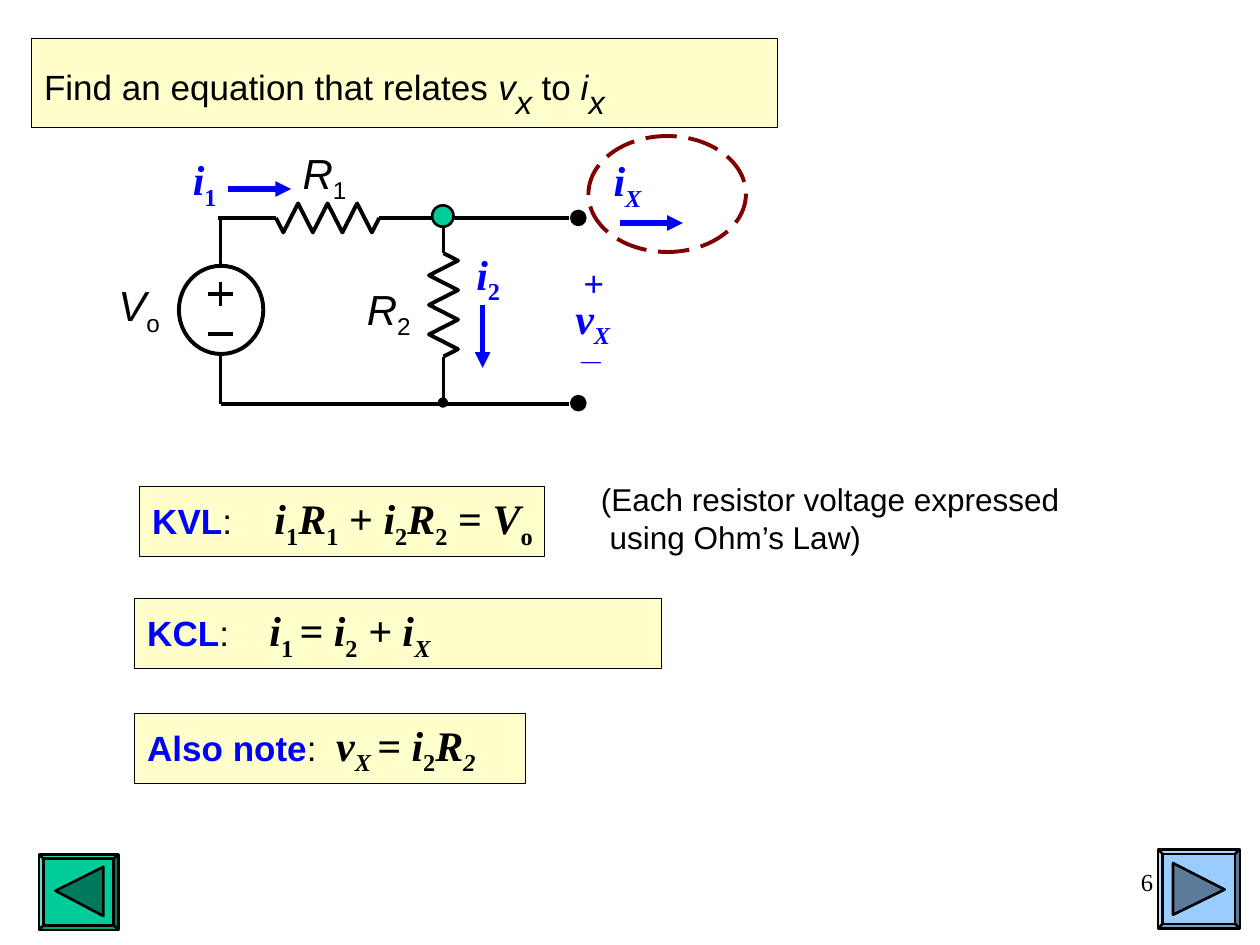
from dataclasses import dataclass

from lxml.etree import SubElement
from pptx import Presentation
from pptx.dml.color import RGBColor
from pptx.enum.dml import MSO_LINE
from pptx.enum.shapes import MSO_CONNECTOR, MSO_SHAPE
from pptx.enum.text import MSO_ANCHOR, MSO_AUTO_SIZE, PP_ALIGN
from pptx.oxml.ns import qn
from pptx.util import Inches, Pt


@dataclass(frozen=True)
class Theme:
    sans: str = "Arial"
    serif: str = "Times New Roman"
    black: str = "000000"
    blue: str = "0000FF"
    cream: str = "FFFFCC"
    green: str = "00CC99"
    dark_green: str = "007A5C"
    sky: str = "99CCFF"
    dark_sky: str = "5C7A99"
    maroon: str = "800000"
    symbol: int = 24
    body: int = 20
    note: int = 18
    number: int = 14
    title_subscript: int = 32
    wire: float = 2.25
    arrow: float = 3
    outline: float = 1.5
    box_line: float = 0.5
    title_line: float = 0.25


class CircuitSlide:
    def __init__(self, presentation, theme):
        self.theme = theme
        self.slide = presentation.slides.add_slide(presentation.slide_layouts[5])
        self.shapes = self.slide.shapes

    def paint(self, shape, fill, line, width):
        if fill:
            shape.fill.solid()
            shape.fill.fore_color.rgb = RGBColor.from_string(fill)
        else:
            shape.fill.background()
        shape.line.color.rgb = RGBColor.from_string(line)
        shape.line.width = Pt(width)

    def style(self, font, name=None, size=None, color=None, bold=None, italic=None):
        if name:
            font.name = name
        if size:
            font.size = Pt(size)
        if color:
            font.color.rgb = RGBColor.from_string(color)
        if bold is not None:
            font.bold = bold
        if italic is not None:
            font.italic = italic

    def frame(self, shape, wrap):
        text_frame = shape.text_frame
        text_frame.word_wrap = wrap
        text_frame.auto_size = MSO_AUTO_SIZE.NONE
        text_frame.vertical_anchor = MSO_ANCHOR.TOP
        return text_frame

    def add_run(self, paragraph, text, subscript=False, **font):
        run = paragraph.add_run()
        run.text = text
        self.style(run.font, **font)
        if subscript:
            run.font._element.set("baseline", "-25000")

    def add_math(self, paragraph, terms):
        for text, flags in terms:
            self.add_run(paragraph, text, "s" in flags, italic="i" in flags)

    def shape(self, kind, left, top, width, height, fill, line, width_points):
        shape = self.shapes.add_shape(
            kind, Inches(left), Inches(top), Inches(width), Inches(height))
        shape.shadow.inherit = False
        self.paint(shape, fill, line, width_points)
        return shape

    def ellipse(self, left, top, width, height, fill=None, line=None, points=None):
        return self.shape(MSO_SHAPE.OVAL, left, top, width, height, fill,
                          line or self.theme.black, points or self.theme.wire)

    def polyline(self, points, fill, width, close):
        corners = [(Inches(x), Inches(y)) for x, y in points]
        builder = self.shapes.build_freeform(*corners[0])
        builder.add_line_segments(corners[1:], close=close)
        shape = builder.convert_to_shape()
        shape.shadow.inherit = False
        self.paint(shape, fill, self.theme.black, width)

    def line(self, start_x, start_y, end_x, end_y, color=None, width=None):
        connector = self.shapes.add_connector(
            MSO_CONNECTOR.STRAIGHT, Inches(start_x), Inches(start_y),
            Inches(end_x), Inches(end_y))
        connector.line.color.rgb = RGBColor.from_string(color or self.theme.black)
        connector.line.width = Pt(width or self.theme.wire)
        SubElement(connector._element.spPr, qn("a:effectLst"))
        return connector

    def arrow(self, start_x, start_y, end_x, end_y):
        connector = self.line(start_x, start_y, end_x, end_y,
                              self.theme.blue, self.theme.arrow)
        SubElement(connector.line._get_or_add_ln(), qn("a:tailEnd"), type="triangle")

    def resistor(self, start_x, start_y, vertical=False):
        length, peaks, swing = 0.82, 7, 0.115
        step = length / peaks
        offsets = [(0, 0)]
        offsets += [((i + 0.5) * step, swing * (-1) ** i) for i in range(peaks)]
        offsets.append((length, 0))
        if vertical:
            offsets = [(across, along) for along, across in offsets]
        points = [(start_x + x, start_y + y) for x, y in offsets]
        self.polyline(points, None, self.theme.wire, False)

    def text(self, left, top, width, height, lines, name, size, color,
             align=PP_ALIGN.CENTER, spacing=None, italic=None):
        box = self.shapes.add_textbox(
            Inches(left), Inches(top), Inches(width), Inches(height))
        text_frame = self.frame(box, False)
        for index, content in enumerate(lines):
            paragraph = text_frame.add_paragraph() if index else text_frame.paragraphs[0]
            paragraph.text = content
            paragraph.alignment = align
            paragraph.line_spacing = spacing
            self.style(paragraph.font, name, size, color, italic=italic)

    def symbol(self, left, top, width, terms, name, color, bold):
        box = self.shapes.add_textbox(
            Inches(left), Inches(top), Inches(width), Inches(0.56))
        paragraph = self.frame(box, False).paragraphs[0]
        paragraph.alignment = PP_ALIGN.CENTER
        self.style(paragraph.font, name, self.theme.symbol, color, bold)
        self.add_math(paragraph, terms)

    def title(self, left, top, width, height, terms):
        theme = self.theme
        title = self.shapes.title
        title.left, title.top = Inches(left), Inches(top)
        title.width, title.height = Inches(width), Inches(height)
        self.paint(title, theme.cream, theme.black, theme.title_line)
        paragraph = self.frame(title, True).paragraphs[0]
        paragraph.alignment = PP_ALIGN.LEFT
        self.style(paragraph.font, theme.sans, color=theme.black)
        for text, flags in terms:
            size = theme.title_subscript if "s" in flags else theme.body
            self.add_run(paragraph, text, "s" in flags, size=size, italic="i" in flags)

    def equation(self, left, top, width, label, tab, terms):
        theme = self.theme
        box = self.shape(MSO_SHAPE.RECTANGLE, left, top, width, 0.56,
                         theme.cream, theme.black, theme.box_line)
        paragraph = self.frame(box, False).paragraphs[0]
        paragraph.alignment = PP_ALIGN.LEFT
        tabs = SubElement(paragraph._p.get_or_add_pPr(), qn("a:tabLst"))
        SubElement(tabs, qn("a:tab"), pos=str(Inches(tab)), algn="l")
        self.style(paragraph.font, theme.serif, theme.symbol, theme.black, True)
        self.add_run(paragraph, label, name=theme.sans, size=theme.body, color=theme.blue)
        self.add_run(paragraph, ":", name=theme.sans, size=theme.body, bold=False)
        self.add_math(paragraph, [("\t", "")] + terms)

    def button(self, left, top, width, height, fill, dark, triangle):
        bevel = self.shape(MSO_SHAPE.BEVEL, left, top, width, height,
                           fill, self.theme.black, self.theme.outline)
        bevel.adjustments[0] = 0.06
        self.polyline(triangle, dark, self.theme.outline, True)


def main():
    presentation = Presentation()
    presentation.slide_width, presentation.slide_height = Inches(10), Inches(7.5)
    theme = Theme()
    page = CircuitSlide(presentation, theme)

    page.title(0.25, 0.3, 5.92, 0.71, [
        ("Find an equation that relates ", ""), ("v", "i"), ("x", "is"),
        (" to ", ""), ("i", "i"), ("x", "is")])
    page.button(9.19, 6.74, 0.65, 0.63, theme.sky, theme.dark_sky,
                [(9.31, 6.85), (9.72, 7.06), (9.31, 7.26)])
    page.button(0.31, 6.78, 0.63, 0.6, theme.green, theme.dark_green,
                [(0.44, 7.07), (0.82, 6.88), (0.82, 7.27)])
    page.text(7.17, 6.83, 2.08, 0.5, ["6"], theme.serif, theme.number,
              theme.black, PP_ALIGN.RIGHT)

    source_x, branch_x, end_x = 1.75, 3.52, 4.52
    top_y, bottom_y = 1.73, 3.21
    page.ellipse(1.42, 2.11, 0.67, 0.7)
    for wire in [
        (source_x, 2.11, source_x, top_y), (source_x, bottom_y, source_x, 2.81),
        (1.65, 2.33, 1.85, 2.33), (source_x, 2.43, source_x, 2.24),
        (1.65, 2.65, 1.85, 2.65), (1.73, top_y, 2.19, top_y),
        (3.01, top_y, end_x, top_y), (source_x, bottom_y, end_x, bottom_y),
        (branch_x, top_y, branch_x, 2.01), (branch_x, 2.83, branch_x, bottom_y),
    ]:
        page.line(*wire)
    page.resistor(2.19, top_y)
    page.resistor(branch_x, 2.01, vertical=True)
    for left, top, size in [(3.49, 3.17, 0.05), (4.54, 1.68, 0.1), (4.54, 3.15, 0.1)]:
        page.ellipse(left, top, size, size, theme.black)
    page.ellipse(3.43, 1.63, 0.17, 0.17, theme.green, points=theme.outline)

    for left, top, width, letter, index in [
        (0.84, 2.17, 0.53, "V", "o"), (2.3, 1.12, 0.55, "R", "1"),
        (2.81, 2.2, 0.55, "R", "2"),
    ]:
        page.symbol(left, top, width, [(letter, "i"), (index, "s")],
                    theme.sans, theme.black, False)
    for left, top, width, letter, index, flags in [
        (4.47, 2.27, 0.47, "v", "X", "is"), (4.77, 1.18, 0.42, "i", "X", "is"),
        (1.43, 1.17, 0.39, "i", "1", "s"), (3.68, 1.92, 0.39, "i", "2", "s"),
    ]:
        page.symbol(left, top, width, [(letter, "i"), (index, flags)],
                    theme.serif, theme.blue, True)
    page.text(4.53, 1.86, 0.36, 1.1, ["+", "_"], theme.sans, theme.body,
              theme.blue, spacing=1.5, italic=True)
    for arrow in [(4.92, 1.77, 5.42, 1.77), (1.81, 1.5, 2.31, 1.5), (3.83, 2.42, 3.83, 2.92)]:
        page.arrow(*arrow)
    highlight = page.ellipse(4.67, 1.08, 1.25, 0.92, line=theme.maroon)
    highlight.line.dash_style = MSO_LINE.LONG_DASH

    page.equation(1.11, 3.86, 3.21, "KVL", 0.97, [
        ("i", "i"), ("1", "s"), ("R", "i"), ("1", "s"), (" + ", ""), ("i", "i"),
        ("2", "s"), ("R", "i"), ("2", "s"), (" = ", ""), ("V", "i"), ("o", "s")])
    page.equation(1.07, 4.75, 4.18, "KCL", 0.97, [
        ("i", "i"), ("1 ", "s"), ("= i", "i"), ("2", "s"), (" + i", "i"), ("X", "is")])
    page.equation(1.07, 5.66, 3.1, "Also note", 1.5, [
        ("v", "i"), ("X ", "is"), ("= i", "i"), ("2", "s"), ("R", "i"), ("2", "is")])
    page.text(4.67, 3.76, 3.91, 0.7,
              ["(Each resistor voltage expressed \v using Ohm’s Law)"],
              theme.sans, theme.note, theme.black, PP_ALIGN.LEFT)
    presentation.save("out.pptx")


if __name__ == "__main__":
    main()
